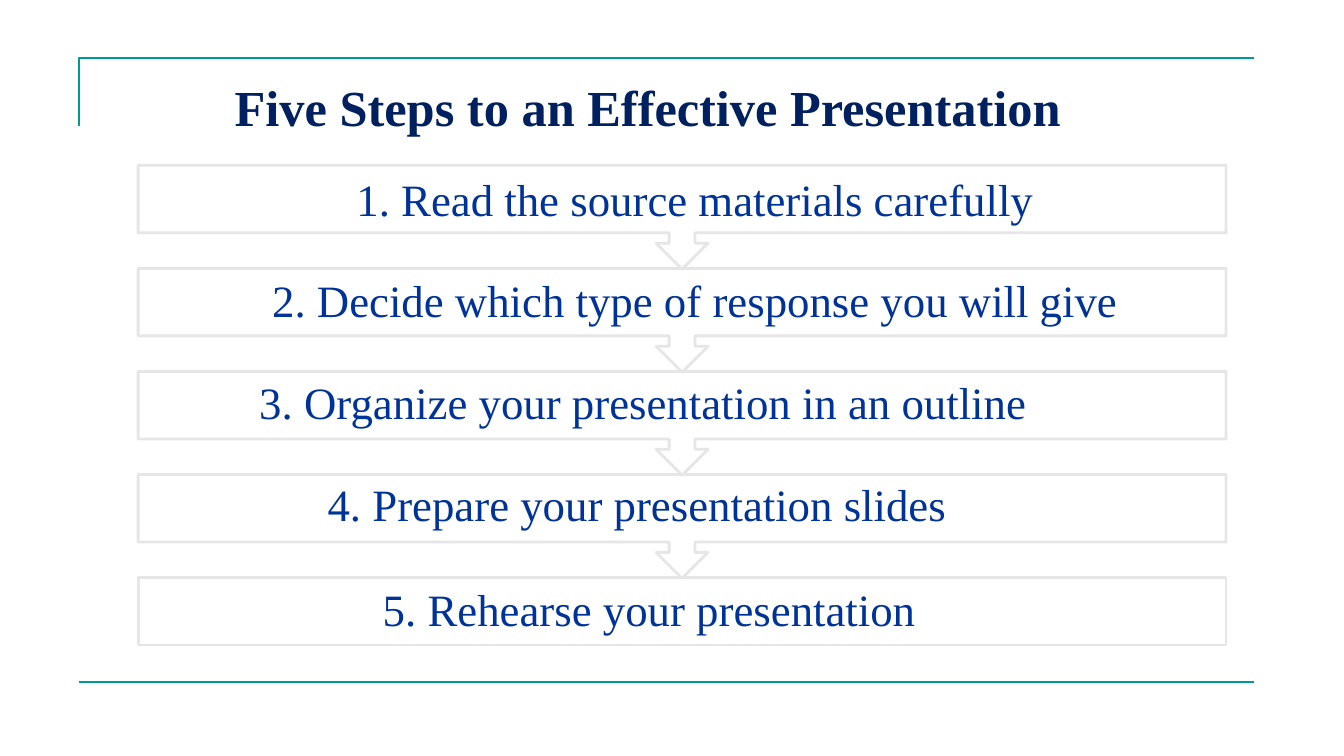
from lxml import etree
from pptx import Presentation
from pptx.dml.color import RGBColor
from pptx.enum.shapes import MSO_CONNECTOR, MSO_SHAPE
from pptx.enum.text import MSO_ANCHOR, MSO_AUTO_SIZE, PP_ALIGN
from pptx.oxml.ns import qn
from pptx.util import Inches, Pt


def paint_line(line, color, width):
    line.color.rgb = RGBColor.from_string(color)
    line.width = Pt(width)


def add_text(left, top, width, height, text, size, color):
    """Add a one-line, top-anchored text box and return it."""
    box = page.shapes.add_textbox(Inches(left), Inches(top), Inches(width), Inches(height))
    box.text_frame.vertical_anchor = MSO_ANCHOR.TOP
    span = box.text_frame.paragraphs[0].add_run()
    span.text = text
    span.font.name = "Times New Roman"
    span.font.size = Pt(size)
    span.font.color.rgb = RGBColor.from_string(color)
    return box


deck = Presentation()
deck.slide_width, deck.slide_height = Inches(13.33), Inches(7.5)
page = deck.slides.add_slide(deck.slide_layouts[6])

# Frame: a corner at the top and a rule at the bottom
FRAME_LEFT, FRAME_RIGHT = 0.78, 12.44
builder = page.shapes.build_freeform(Inches(FRAME_LEFT), Inches(1.25))
builder.add_line_segments(
    [(Inches(FRAME_LEFT), Inches(0.58)), (Inches(FRAME_RIGHT), Inches(0.58))], close=False
)
corner = builder.convert_to_shape()
corner.shadow.inherit = False
corner.fill.background()
paint_line(corner.line, "009999", 1.5)

rule = page.shapes.add_connector(
    MSO_CONNECTOR.STRAIGHT,
    Inches(FRAME_LEFT), Inches(6.77), Inches(FRAME_RIGHT), Inches(6.77),
)
paint_line(rule.line, "009999", 1.5)
etree.SubElement(rule.element.spPr, qn("a:effectLst"))

title = add_text(2.23, 0.71, 11.44, 0.97, "Five Steps to an Effective Presentation", 36, "002060")
title.text_frame.word_wrap = True
title.text_frame.paragraphs[0].runs[0].font.bold = True

# Text, left, top and width of each step
steps = [
    ("1. Read the source materials carefully", 3.4, 1.71, 6.99),
    ("2. Decide which type of response you will give", 2.56, 2.72, 8.67),
    ("3. Organize your presentation in an outline", 2.43, 3.73, 7.9),
    ("4. Prepare your presentation slides", 3.12, 4.74, 6.4),
    ("5. Rehearse your presentation", 3.67, 5.78, 5.54),
]

# Bars, from the last to the first, so that each arrow lies over the next bar
last = len(steps) - 1
for index in range(last, -1, -1):
    is_last = index == last
    bar = page.shapes.add_shape(
        MSO_SHAPE.RECTANGLE if is_last else MSO_SHAPE.UP_ARROW_CALLOUT,
        Inches(1.37), Inches(1.64 + index * 1.0225),
        Inches(10.79), Inches(0.67 if is_last else 1.03),
    )
    if not is_last:
        bar.rotation = 180
        for position, value in enumerate((0.25, 0.25, 0.25, 0.65)):
            bar.adjustments[position] = value
    bar.shadow.inherit = False
    bar.fill.solid()
    bar.fill.fore_color.rgb = RGBColor.from_string("FFFFFF")
    paint_line(bar.line, "E6E6E6", 2)

for text, left, top, width in steps:
    label = add_text(left, top, width, 0.59, text, 32, "003399")
    label.text_frame.word_wrap = False
    label.text_frame.auto_size = MSO_AUTO_SIZE.SHAPE_TO_FIT_TEXT
    para = label.text_frame.paragraphs[0]
    para.alignment = PP_ALIGN.CENTER
    para.line_spacing = 0.9

deck.save("out.pptx")
